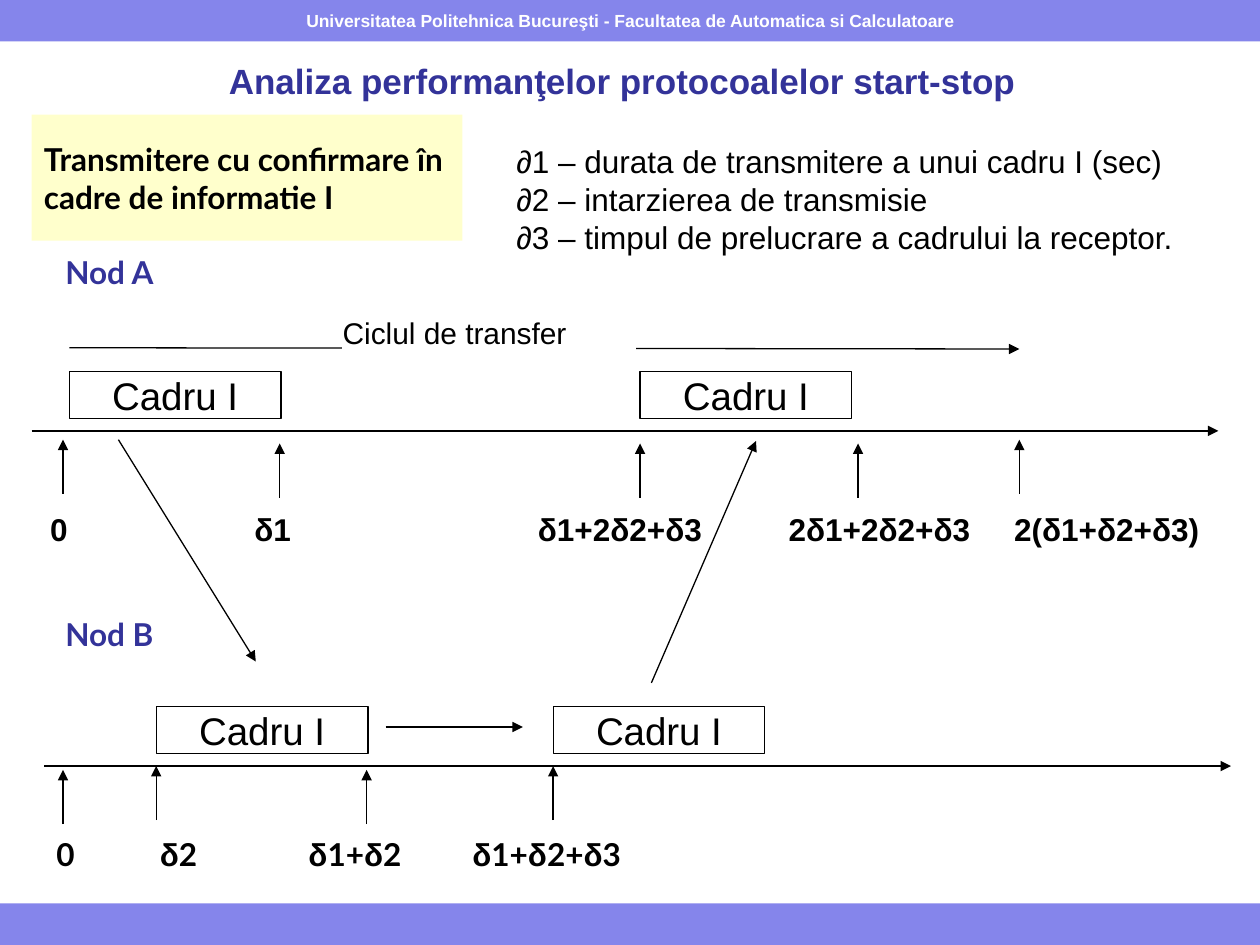
from itertools import groupby

from lxml.etree import SubElement
from pptx import Presentation
from pptx.dml.color import RGBColor
from pptx.enum.shapes import MSO_CONNECTOR, MSO_SHAPE
from pptx.enum.text import MSO_ANCHOR, PP_ALIGN
from pptx.oxml.ns import qn
from pptx.util import Inches, Pt

COLORS = {
    "band": "8585EB",
    "heading": "333399",
    "note": "FFFFCC",
    "ink": "000000",
    "paper": "FFFFFF",
}
LINE_WIDTH = Pt(0.74)
TICK_LENGTH = 0.43


def color(name):
    return RGBColor.from_string(COLORS[name])


def add_box(page, left, top, width, height, fill=None, line=None):
    box = page.shapes.add_shape(
        MSO_SHAPE.RECTANGLE, Inches(left), Inches(top), Inches(width), Inches(height)
    )
    box.shadow.inherit = False
    if fill:
        box.fill.solid()
        box.fill.fore_color.rgb = color(fill)
    else:
        box.fill.background()
    if line:
        box.line.color.rgb = color(line)
        box.line.width = LINE_WIDTH
    else:
        box.line.fill.background()
    return box


def add_label(page, left, top, width, height):
    return page.shapes.add_textbox(
        Inches(left), Inches(top), Inches(width), Inches(height)
    )


def write(box, text, size=18, font="Arial", greek_font="Arial", ink="ink",
          bold=False, align=PP_ALIGN.LEFT, anchor=MSO_ANCHOR.MIDDLE,
          margins=(0.1, 0.05), wrap=True, tabs=()):
    frame = box.text_frame
    frame.word_wrap = wrap
    frame.vertical_anchor = anchor
    frame.margin_left = frame.margin_right = Inches(margins[0])
    frame.margin_top = frame.margin_bottom = Inches(margins[1])
    for index, line in enumerate(text.split("\n")):
        para = frame.paragraphs[0] if index == 0 else frame.add_paragraph()
        para.alignment = align
        if tabs:
            tab_list = SubElement(para._p.get_or_add_pPr(), qn("a:tabLst"))
            for position in tabs:
                SubElement(tab_list, qn("a:tab"), pos=str(Inches(position)), algn="l")
        pieces = [(False, line)]
        if font != greek_font:
            pieces = groupby(line, key=lambda letter: letter == "δ")
        for is_greek, letters in pieces:
            span = para.add_run()
            span.text = "".join(letters)
            span.font.name = greek_font if is_greek else font
            span.font.size = Pt(size)
            span.font.bold = bold
            span.font.color.rgb = color(ink)


def add_arrow(page, start, end):
    arrow = page.shapes.add_connector(
        MSO_CONNECTOR.STRAIGHT, *[Inches(value) for value in (*start, *end)]
    )
    arrow.line.color.rgb = color("ink")
    arrow.line.width = LINE_WIDTH
    SubElement(arrow.line._get_or_add_ln(), qn("a:tailEnd"), type="triangle")
    SubElement(arrow._element.spPr, qn("a:effectLst"))


def add_ticks(page, tips):
    for x, y in tips:
        add_arrow(page, (x, y + TICK_LENGTH), (x, y))


def add_frame(page, left, top):
    box = add_box(page, left, top, 1.68, 0.37, fill="paper", line="ink")
    write(box, "Cadru I", size=22, align=PP_ALIGN.CENTER,
          anchor=MSO_ANCHOR.TOP, margins=(0, 0))


def add_heading(page):
    add_box(page, 0, 7.17, 10, 0.33, fill="band")
    header = add_box(page, 0, 0, 10, 0.33, fill="band")
    write(header, "Universitatea Politehnica Bucureşti - Facultatea de Automatica si Calculatoare",
          size=10, ink="paper", bold=True, align=PP_ALIGN.CENTER, wrap=False)
    title = add_label(page, 0.44, 0.36, 9, 0.55)
    write(title, "Analiza performanţelor protocoalelor start-stop",
          size=20, ink="heading", bold=True, align=PP_ALIGN.CENTER)


def add_timelines(page):
    for left, y in ((0.25, 3.42), (0.35, 6.08)):
        add_arrow(page, (left, y), (left + 9.42, y))
    for left, top in ((0.55, 2.95), (5.08, 2.95), (1.24, 5.61), (4.39, 5.61)):
        add_frame(page, left, top)

    add_arrow(page, (0.55, 2.76), (8.09, 2.77))
    cycle = add_box(page, 2.72, 2.5, 2.32, 0.3, fill="paper", line="paper")
    write(cycle, "Ciclul de transfer", size=17.1, anchor=MSO_ANCHOR.TOP, margins=(0, 0))

    add_ticks(page, [(0.5, 3.49), (2.22, 3.52), (5.08, 3.52), (6.81, 3.52), (8.09, 3.49)])
    add_ticks(page, [(0.5, 6.11), (1.24, 6.08), (2.91, 6.11), (4.39, 6.08)])
    add_arrow(page, (0.94, 3.49), (2.03, 5.25))
    add_arrow(page, (3.06, 5.77), (4.15, 5.77))
    add_arrow(page, (5.17, 5.42), (6, 3.5))


def add_time_labels(page):
    times_a = add_label(page, 0.17, 4, 9.58, 0.4)
    write(times_a, "\t0\tδ1\tδ1+2δ2+δ3\t2δ1+2δ2+δ3\t2(δ1+δ2+δ3)",
          bold=True, tabs=(0.13, 1.75, 4, 5.99, 7.78))
    times_b = add_label(page, 0.17, 6.58, 5.26, 0.4)
    write(times_b, "\t0\tδ2\tδ1+δ2\tδ1+δ2+δ3",
          font="Lato", bold=True, tabs=(0.18, 1, 2.18, 3.48))


def add_explanations(page):
    note = add_box(page, 0.25, 0.91, 3.42, 1, fill="note")
    write(note, "Transmitere cu confirmare în cadre de informatie I", font="Lato", bold=True)
    for name, top in (("Nod A", 1.96), ("Nod B", 4.83)):
        node = add_label(page, 0.42, top, 0.95, 0.4)
        write(node, name, font="Lato", ink="heading", bold=True, wrap=False)
    legend = add_label(page, 4, 1.08, 5.75, 1)
    write(legend, "∂1 – durata de transmitere a unui cadru I (sec)\n"
                  "∂2 – intarzierea de transmisie\n"
                  "∂3 – timpul de prelucrare a cadrului la receptor.")


def main():
    deck = Presentation()
    deck.slide_width = Inches(10)
    deck.slide_height = Inches(7.5)
    page = deck.slides.add_slide(deck.slide_layouts[6])
    add_heading(page)
    add_timelines(page)
    add_time_labels(page)
    add_explanations(page)
    deck.save("out.pptx")


main()
